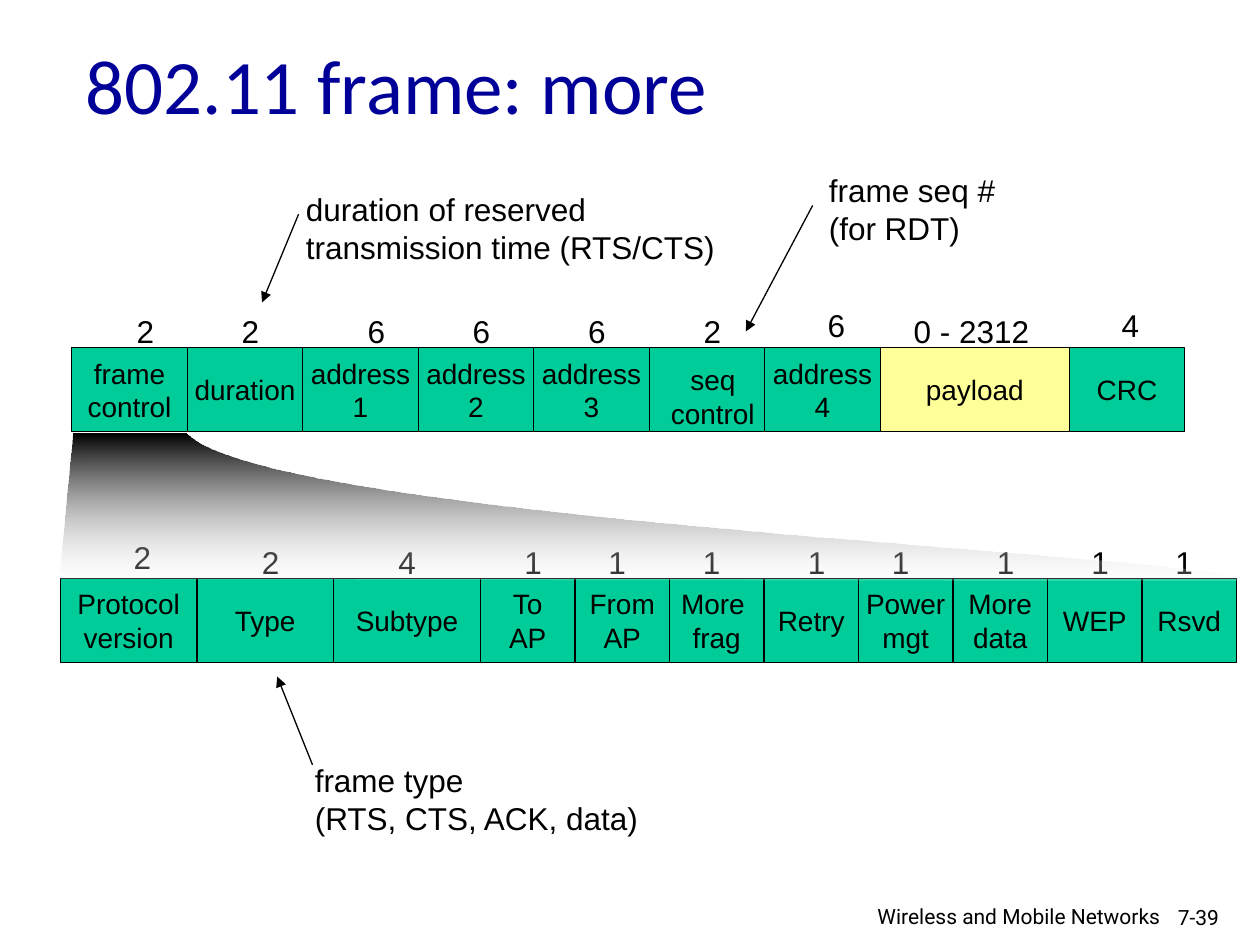
"""Build the slide that breaks an 802.11 frame into its fields."""
from dataclasses import dataclass

from pptx import Presentation
from pptx import util as u
from pptx.dml.color import RGBColor
from pptx.enum import shapes, text
from pptx.oxml.ns import qn

UNIT = 1 / 12
CELL_ROWS = 8
BLACK, WHITE, GREEN, YELLOW, NAVY = "000000", "FFFFFF", "00CC99", "FFFF99", "000099"
LEFT, CENTER, RIGHT = text.PP_ALIGN.LEFT, text.PP_ALIGN.CENTER, text.PP_ALIGN.RIGHT


@dataclass(frozen=True)
class Field:
    """A frame field: caption, columns wide, size figure and its column offset."""
    caption: str
    cols: int
    size: str
    offset: float
    rise: float = 0
    fill: str = GREEN
    nudge: float = 0


@dataclass(frozen=True)
class Note:
    """A remark with its box and the arrow that leads from it."""
    words: str
    box: tuple[float, float, float, float]
    start: tuple[float, float]
    end: tuple[float, float]


FRAME = [
    Field("frame\ncontrol", 11, "2", 5),
    Field("duration", 11, "2", 4),
    Field("address\n1", 11, "6", 5),
    Field("address\n2", 11, "6", 4),
    Field("address\n3", 11, "6", 4),
    Field("seq\ncontrol", 11, "2", 4, nudge=0.07),
    Field("address\n4", 11, "6", 4.8, rise=0.05),
    Field("payload", 18, "0 - 2312", 2, fill=YELLOW),
    Field("CRC", 11, "4", 3.8, rise=0.05),
]
CONTROL = [
    Field("Protocol\nversion", 13, "2", 5.8, rise=0.04),
    Field("Type", 13, "2", 5),
    Field("Subtype", 14, "4", 5),
    Field("To\nAP", 9, "1", 3),
    Field("From\nAP", 9, "1", 2),
    Field("More \nfrag", 9, "1", 2),
    Field("Retry", 9, "1", 3),
    Field("Power\nmgt", 9, "1", 2),
    Field("More\ndata", 9, "1", 3),
    Field("WEP", 9, "1", 3),
    Field("Rsvd", 9, "1", 2),
]
NOTES = [
    Note("duration of reserved\ntransmission time (RTS/CTS)",
         (2.33, 1.46, 3.48, 0.71), (2.37, 1.7), (2.08, 2.4)),
    Note("frame seq #\n(for RDT)", (6.48, 1.31, 1.53, 0.71), (6.45, 1.63), (5.92, 2.63)),
    Note("frame type\n(RTS, CTS, ACK, data)",
         (2.4, 5.99, 2.82, 0.7), (2.48, 6.07), (2.2, 5.37)),
]


def rgb(color: str) -> RGBColor:
    """Turn a hex string into a colour."""
    return RGBColor.from_string(color)


def inches(*lengths: float) -> list[int]:
    """Turn inches into whole slide units."""
    return [u.Inches(length) for length in lengths]


def write(sp, words: str, size: float, font: str = "Arial", color: str = BLACK,
          align=LEFT, anchor=text.MSO_ANCHOR.TOP, wrap: bool = False) -> None:
    """Fill a shape with one paragraph per line of words."""
    tf = sp.text_frame
    tf.text = words
    frame = {"word_wrap": wrap, "vertical_anchor": anchor, "auto_size": text.MSO_AUTO_SIZE.NONE}
    for name, value in frame.items():
        setattr(tf, name, value)
    for p in tf.paragraphs:
        p.alignment = align
        for name, value in {"name": font, "size": u.Pt(size)}.items():
            setattr(p.font, name, value)
        p.font.color.rgb = rgb(color)


def add_text(s, words: str, box: tuple, size: float, **style) -> None:
    """Add a text box."""
    write(s.shapes.add_textbox(*inches(*box)), words, size, **style)


def add_field(s, field: Field, left: float, top: float) -> None:
    """Draw one field with its size figure above."""
    width, height = field.cols * UNIT, CELL_ROWS * UNIT
    sp = s.shapes.add_shape(shapes.MSO_SHAPE.RECTANGLE, *inches(left, top, width, height))
    sp.shadow.inherit = False
    sp.fill.solid()
    sp.fill.fore_color.rgb = rgb(field.fill)
    sp.line.color.rgb = rgb(BLACK)
    sp.line.width = u.Pt(0.75)
    if field.nudge:
        box = (left + field.nudge, top + field.nudge, 0.87, 0.64)
        add_text(s, field.caption, box, 16, align=CENTER)
    else:
        write(sp, field.caption, 16, align=CENTER, anchor=text.MSO_ANCHOR.MIDDLE)
    figure_width = 0.34 if len(field.size) == 1 else 1.12
    box = (left + field.offset * UNIT, top - 0.33 - field.rise, figure_width, 0.4)
    add_text(s, field.size, box, 18)


def add_row(s, fields: list[Field], left: float, top: float) -> None:
    """Draw fields side by side."""
    for field in fields:
        add_field(s, field, left, top)
        left += field.cols * UNIT


def bezier(points: list[tuple[float, float]], steps: int = 48) -> list[tuple[float, float]]:
    """Sample a cubic curve."""
    curve = []
    for i in range(1, steps + 1):
        t = i / steps
        weights = ((1 - t) ** 3, 3 * t * (1 - t) ** 2, 3 * t * t * (1 - t), t ** 3)
        curve.append(tuple(sum(w * pt[axis] for w, pt in zip(weights, points))
                           for axis in (0, 1)))
    return curve


def add_beam(s) -> None:
    """Draw the fading beam from frame control to its parts."""
    edge = bezier([(9.83, 4.61), (10, 4.41), (2.16, 4.15), (1.48, 3.44)])
    outline = [(0.47, 4.59), (9.83, 4.61), *edge]
    builder = s.shapes.build_freeform(*inches(0.58, 3.44))
    builder.add_line_segments([inches(*point) for point in outline], close=True)
    sp = builder.convert_to_shape()
    sp.shadow.inherit = False
    sp.line.fill.background()
    sp.fill.gradient()
    sp.fill.gradient_angle = 270
    for stop, color, position in zip(sp.fill.gradient_stops, (BLACK, WHITE), (0, 1)):
        stop.color.rgb = rgb(color)
        stop.position = position
    last = list(sp._element.spPr.iter(qn("a:srgbClr")))[-1]
    last.makeelement(qn("a:alpha"), {"val": "18000"})
    last.append(last.makeelement(qn("a:alpha"), {"val": "18000"}))


def add_note(s, note: Note) -> None:
    """Draw a remark and its arrow."""
    add_text(s, note.words, note.box, 18)
    arrow = s.shapes.add_connector(shapes.MSO_CONNECTOR.STRAIGHT,
                                   *inches(*note.start, *note.end))
    arrow.line.color.rgb = rgb(BLACK)
    arrow.line.width = u.Pt(0.75)
    ln = arrow.line._get_or_add_ln()
    ln.append(ln.makeelement(qn("a:tailEnd"), {"type": "triangle"}))
    spPr = arrow._element.spPr
    spPr.append(spPr.makeelement(qn("a:effectLst"), {}))


def main() -> None:
    """Build and save the slide."""
    prs = Presentation()
    prs.slide_width, prs.slide_height = inches(10, 7.5)
    s = prs.slides.add_slide(prs.slide_layouts[5])
    title = s.shapes.title
    title.left, title.top, title.width, title.height = inches(0.58, 0.25, 8.5, 1.25)
    write(title, "802.11 frame: more", 44, font="Calibri", color=NAVY, wrap=True)
    add_row(s, FRAME, 0.57, 2.76)
    add_row(s, CONTROL, 0.48, 4.59)
    add_beam(s)
    for note in NOTES:
        add_note(s, note)
    add_text(s, "7-39", (9.25, 7.13, 0.75, 0.3), 12, font="Roboto", wrap=True)
    add_text(s, "Wireless and Mobile Networks ", (6.4, 7.12, 2.95, 0.28), 12,
             font="Roboto", align=RIGHT, wrap=True)
    prs.save("out.pptx")


if __name__ == "__main__":
    main()
